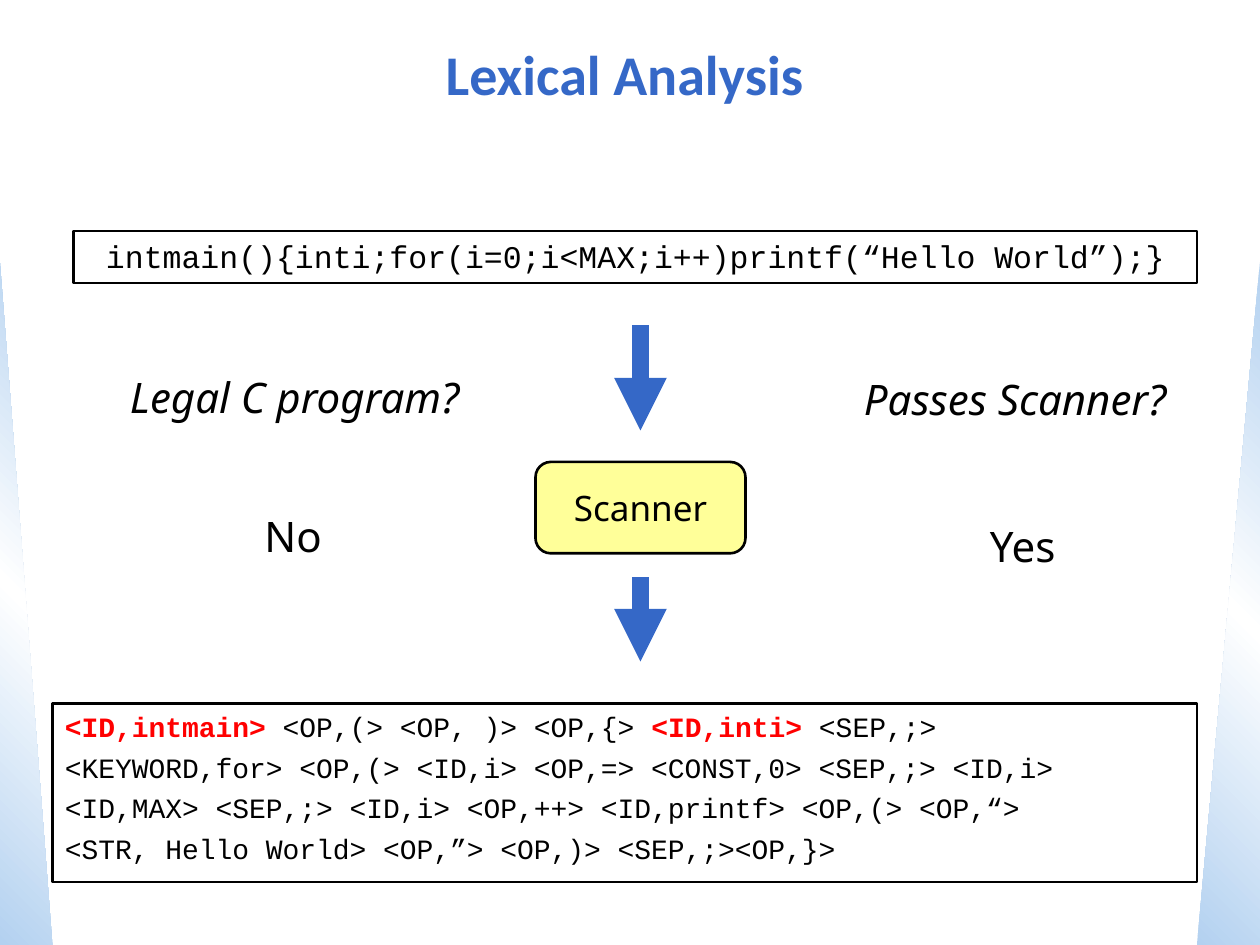
import copy

import pptx
import pptx.dml.color
import pptx.enum.shapes
import pptx.enum.text
import pptx.oxml.ns
import pptx.oxml.xmlchemy
import pptx.util

EMU_PER_PX = 7620  # 120 px to the inch
WIDTH, HEIGHT = 1200, 900
COLORS = {"blue": "3568C7", "edge": "B3D1F0", "white": "FFFFFF",
          "black": "000000", "red": "FF0000", "yellow": "FFFF99"}
SHAPES = pptx.enum.shapes.MSO_SHAPE
ALIGN = pptx.enum.text.PP_ALIGN
ANCHOR = pptx.enum.text.MSO_ANCHOR

CODE = "intmain(){inti;for(i=0;i<MAX;i++)printf(“Hello World”);}"
# Each line is a list of (text, is an error)
TOKENS = [
    [("<ID,intmain>", True), (" <OP,(> <OP, )> <OP,{> ", False),
     ("<ID,inti>", True), (" <SEP,;>", False)],
    [("<KEYWORD,for> <OP,(> <ID,i> <OP,=> <CONST,0> <SEP,;> <ID,i>", False)],
    [("<ID,MAX> <SEP,;> <ID,i> <OP,++> <ID,printf> <OP,(> <OP,“>", False)],
    [("<STR, Hello World> <OP,”> <OP,)> <SEP,;><OP,}>", False)],
]


def px(*lengths):
    return [pptx.util.Emu(length * EMU_PER_PX) for length in lengths]


def rgb(name):
    return pptx.dml.color.RGBColor.from_string(COLORS[name])


def set_font(font, size, name, color="black", bold=False, italic=False):
    font.size = pptx.util.Pt(size)
    font.name = name
    font.color.rgb = rgb(color)
    font.bold = bold
    font.italic = italic


def add_box(slide, kind, box, line_width, fill=None):
    shape = slide.shapes.add_shape(kind, *px(*box))
    shape.shadow.inherit = False
    if fill:
        shape.fill.solid()
        shape.fill.fore_color.rgb = rgb(fill)
    else:
        shape.fill.background()
    shape.line.color.rgb = rgb("black")
    shape.line.width = pptx.util.Pt(line_width)
    return shape


def add_side(slide, box, angle, flipped=False):
    """Gradient triangle along one edge of the slide."""
    shape = slide.shapes.add_shape(SHAPES.RIGHT_TRIANGLE, *px(*box))
    shape.shadow.inherit = False
    shape.line.fill.background()
    shape.fill.gradient()
    shape.fill.gradient_angle = 360 - angle
    stop_list = shape._element.spPr.find(".//" + pptx.oxml.ns.qn("a:gsLst"))
    stop_list.append(copy.deepcopy(stop_list[-1]))
    for stop, position, color in zip(shape.fill.gradient_stops, (0, 0.5, 1),
                                     ("edge", "white", "edge")):
        stop.position = position
        stop.color.rgb = rgb(color)
    if flipped:
        shape._element.spPr.find(pptx.oxml.ns.qn("a:xfrm")).set("flipH", "1")


def add_title(slide, box, text):
    title = slide.shapes.title
    title.left, title.top, title.width, title.height = px(*box)
    title.text_frame.text = text
    title.text_frame.vertical_anchor = ANCHOR.MIDDLE
    paragraph = title.text_frame.paragraphs[0]
    paragraph.alignment = ALIGN.CENTER
    set_font(paragraph.font, 32, "Calibri", "blue", bold=True)


def add_code_box(slide, box, lines, size, alignment):
    frame = add_box(slide, SHAPES.RECTANGLE, box, 1.25).text_frame
    frame.word_wrap = True
    frame.vertical_anchor = ANCHOR.TOP
    for index, line in enumerate(lines):
        paragraph = frame.paragraphs[0] if index == 0 else frame.add_paragraph()
        paragraph.alignment = alignment
        if index:
            paragraph.space_before = pptx.util.Pt(4)
        for text, is_error in line:
            run = paragraph.add_run()
            run.text = text
            set_font(run.font, size, "Courier New",
                     "red" if is_error else "black", bold=is_error)


def add_scanner(slide, box):
    shape = add_box(slide, SHAPES.ROUNDED_RECTANGLE, box, 1.5, "yellow")
    shape.adjustments[0] = 0.167
    frame = shape.text_frame
    frame.text = "Scanner"
    frame.word_wrap = False
    frame.vertical_anchor = ANCHOR.MIDDLE
    frame.paragraphs[0].alignment = ALIGN.CENTER
    set_font(frame.paragraphs[0].font, 20, "Noto Sans")


def add_arrow(slide, x, top, bottom):
    connector = slide.shapes.add_connector(
        pptx.enum.shapes.MSO_CONNECTOR.STRAIGHT, *px(x, top, x, bottom))
    connector.line.color.rgb = rgb("blue")
    connector.line.width = pptx.util.Pt(10)
    line = connector.line._get_or_add_ln()
    line.append(pptx.oxml.xmlchemy.OxmlElement("a:tailEnd"))
    line[-1].set("type", "triangle")
    connector._element.spPr.append(
        pptx.oxml.xmlchemy.OxmlElement("a:effectLst"))


def add_label(slide, box, text, italic):
    frame = slide.shapes.add_textbox(*px(*box)).text_frame
    frame.text = text
    frame.word_wrap = False
    frame.auto_size = pptx.enum.text.MSO_AUTO_SIZE.SHAPE_TO_FIT_TEXT
    set_font(frame.paragraphs[0].font, 24, "Noto Sans", italic=italic)


def main():
    presentation = pptx.Presentation()
    presentation.slide_width, presentation.slide_height = px(WIDTH, HEIGHT)
    slide = presentation.slides.add_slide(presentation.slide_layouts[5])

    # Background sides and title
    add_side(slide, (0, 250, 50, 650), 135)
    add_side(slide, (1140, 250, 60, 650), 225, flipped=True)
    add_title(slide, (30, 20, 1130, 100), "Lexical Analysis")

    # Flow from source code through the scanner to tokens
    add_code_box(slide, (70, 220, 1070, 50), [[(CODE, False)]], 18, ALIGN.CENTER)
    add_scanner(slide, (510, 440, 200, 87))
    add_code_box(slide, (50, 670, 1090, 170), TOKENS, 16, ALIGN.LEFT)
    for top, bottom in ((550, 630), (310, 410)):
        add_arrow(slide, 610, top, bottom)

    # Questions and answers
    for box, text, italic in (
            ((112, 348, 338, 60), "Legal C program?", True),
            ((811, 350, 312, 60), "Passes Scanner?", True),
            ((240, 480, 80, 60), "No", False),
            ((931, 490, 88, 60), "Yes", False)):
        add_label(slide, box, text, italic)

    presentation.save("out.pptx")


if __name__ == "__main__":
    main()
